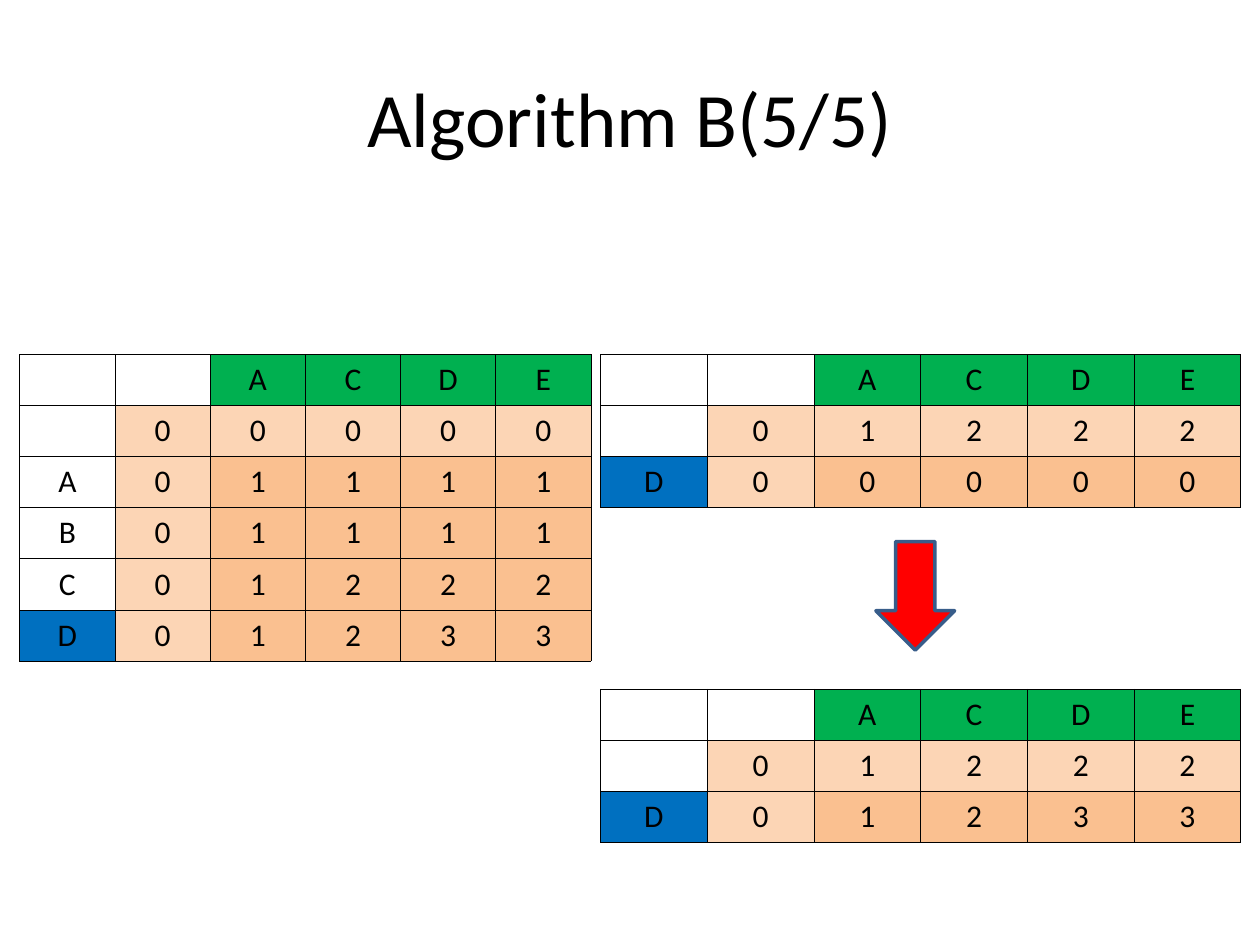
from dataclasses import dataclass

from lxml import etree
from pptx import Presentation
from pptx.dml.color import RGBColor
from pptx.enum.shapes import MSO_SHAPE
from pptx.enum.text import MSO_ANCHOR, PP_ALIGN
from pptx.oxml.ns import qn
from pptx.util import Pt

CENTER = PP_ALIGN.CENTER
MIDDLE = MSO_ANCHOR.MIDDLE
DOWN_ARROW = MSO_SHAPE.DOWN_ARROW
TITLE_ONLY = 5

COLORS = {
    "text": "000000",
    "border": "000000",
    "header": "00B050",
    "highlight": "0070C0",
    "base": "FCD5B5",
    "body": "FAC090",
    "arrow": "FF0000",
    "arrow_line": "385D8A",
}
TITLE_FONT = {"name": "Calibri", "size": Pt(44), "bold": False}
CELL_FONT = {"name": "Calibri", "size": Pt(18), "bold": False}
ROW_HEIGHT = 29.2
BORDER_WIDTH = 0.45
HEADER = "  ACDE"


@dataclass
class Grid:
    left: float
    top: float
    col_width: float
    rows: list[str]


GRIDS = [
    Grid(11.3, 202.5, 54.4,
         [HEADER, " 00000", "A01111", "B01111", "C01222", "D01233"]),
    Grid(343.2, 202.5, 61, [HEADER, " 01222", "D00000"]),
    Grid(343.2, 393.8, 61, [HEADER, " 01222", "D01233"]),
]


def rgb(key: str) -> RGBColor:
    return RGBColor.from_string(COLORS[key])


def format_font(font, values: dict) -> None:
    for name, value in values.items():
        setattr(font, name, value)
    font.color.rgb = rgb("text")


def fill_key(row: int, col: int, text: str) -> str | None:
    if text == " ":
        return None
    if row == 0:
        return "header"
    if col == 0:
        return "highlight" if text == "D" else None
    return "base" if row == 1 or col == 1 else "body"


def add_borders(cell) -> None:
    tc_pr = cell._tc.get_or_add_tcPr()
    for i, side in enumerate(("lnL", "lnR", "lnT", "lnB")):
        ln = etree.Element(qn(f"a:{side}"), w=str(Pt(BORDER_WIDTH)))
        fill = etree.SubElement(ln, qn("a:solidFill"))
        etree.SubElement(fill, qn("a:srgbClr"), val=COLORS["border"])
        tc_pr.insert(i, ln)


def format_cell(cell, text: str, key: str | None) -> None:
    if key:
        cell.fill.solid()
        cell.fill.fore_color.rgb = rgb(key)
    else:
        cell.fill.background()
    add_borders(cell)
    p = cell.text_frame.paragraphs[0]
    p.alignment = CENTER
    format_font(p.font, CELL_FONT)
    if text != " ":
        r = p.add_run()
        r.text = text
        format_font(r.font, CELL_FONT)


def add_grid(s, grid: Grid) -> None:
    n_rows, n_cols = len(grid.rows), len(HEADER)
    table = s.shapes.add_table(
        n_rows, n_cols, Pt(grid.left), Pt(grid.top),
        Pt(grid.col_width * n_cols), Pt(ROW_HEIGHT * n_rows)).table
    table.first_row = False
    table.horz_banding = False
    for column in table.columns:
        column.width = Pt(grid.col_width)
    for i, values in enumerate(grid.rows):
        table.rows[i].height = Pt(ROW_HEIGHT)
        for j, text in enumerate(values):
            format_cell(table.cell(i, j), text, fill_key(i, j, text))


def add_title(s, text: str) -> None:
    sp = s.shapes.title
    box = {"left": Pt(36), "top": Pt(21.6), "width": Pt(648), "height": Pt(90)}
    for name, value in box.items():
        setattr(sp, name, value)
    tf = sp.text_frame
    tf.vertical_anchor = MIDDLE
    p = tf.paragraphs[0]
    p.alignment = CENTER
    r = p.add_run()
    r.text = text
    format_font(r.font, TITLE_FONT)


def add_arrow(s) -> None:
    sp = s.shapes.add_shape(DOWN_ARROW, Pt(500.5), Pt(309.5), Pt(45), Pt(62))
    sp.shadow.inherit = False
    sp.fill.solid()
    sp.fill.fore_color.rgb = rgb("arrow")
    sp.line.color.rgb = rgb("arrow_line")
    sp.line.width = Pt(2)


def main() -> None:
    prs = Presentation()
    prs.slide_width, prs.slide_height = Pt(720), Pt(540)
    s = prs.slides.add_slide(prs.slide_layouts[TITLE_ONLY])
    add_title(s, "Algorithm B(5/5)")
    for grid in GRIDS:
        add_grid(s, grid)
    add_arrow(s)
    prs.save("out.pptx")


if __name__ == "__main__":
    main()
